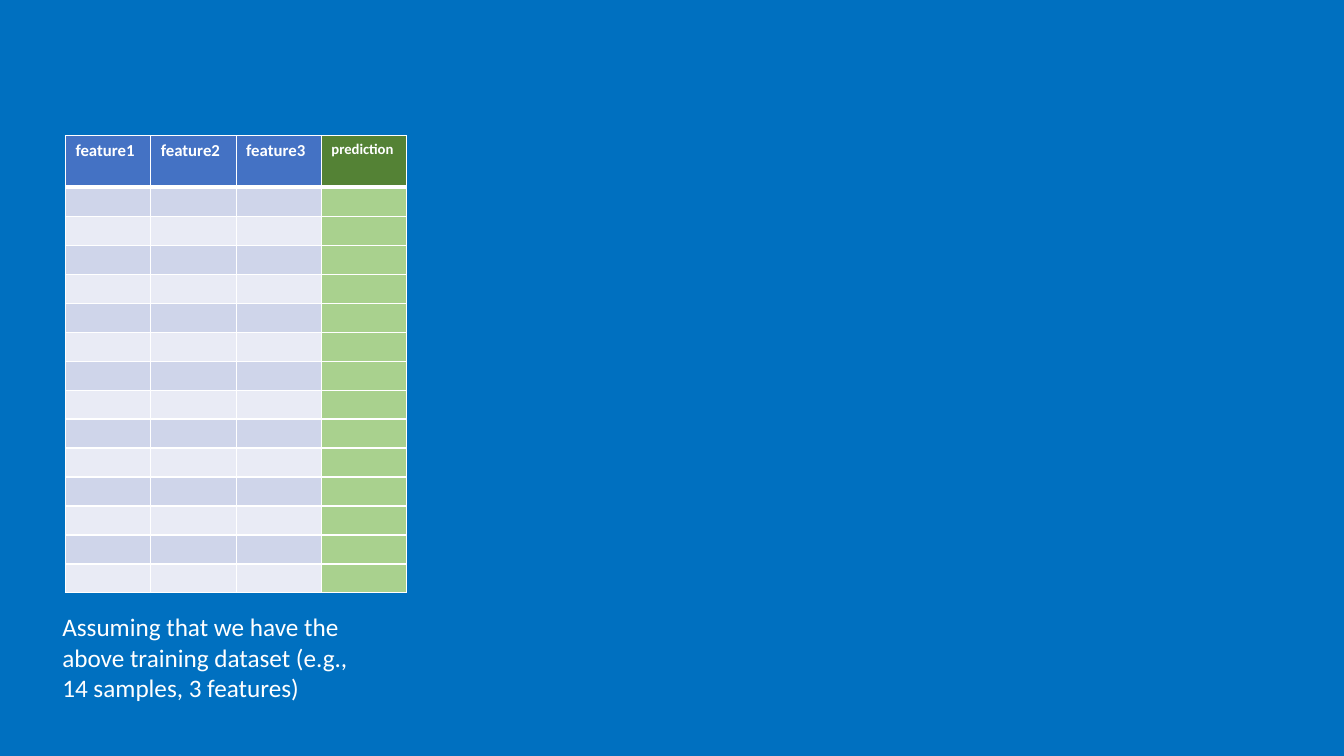
import pptx
import pptx.dml.color
import pptx.oxml.ns
import pptx.util
from lxml import etree

Cm, Pt = pptx.util.Cm, pptx.util.Pt
RGBColor = pptx.dml.color.RGBColor
qn = pptx.oxml.ns.qn

BACKGROUND = RGBColor(0x00, 0x70, 0xC0)
WHITE = RGBColor(0xFF, 0xFF, 0xFF)
FEATURE_HEADER = RGBColor(0x44, 0x72, 0xC4)
PREDICTION_HEADER = RGBColor(0x54, 0x82, 0x35)
PREDICTION = RGBColor(0xA9, 0xD1, 0x8E)
BANDS = [RGBColor(0xE9, 0xEB, 0xF5), RGBColor(0xCF, 0xD5, 0xEA)]

HEADERS = ["feature1", "feature2", "feature3", "prediction"]
SAMPLES = 14
COL_WIDTH, HEADER_HEIGHT, ROW_HEIGHT = Cm(2.15), Cm(1.3), Cm(0.73)


def write(tf, text, size=18, bold=False):
    """Put white Calibri text in the first paragraph of a text frame."""
    r = tf.paragraphs[0].add_run()
    r.text = text
    r.font.name = "Calibri"
    r.font.size = Pt(size)
    r.font.bold = bold
    r.font.color.rgb = WHITE


def set_borders(cell, top=1, bottom=1):
    """Draw white borders around a cell, with widths in points."""
    tcPr = cell._tc.get_or_add_tcPr()
    for side, width in (("L", 1), ("R", 1), ("T", top), ("B", bottom)):
        ln = etree.SubElement(tcPr, qn("a:ln" + side), w=str(Pt(width)))
        fill = etree.SubElement(ln, qn("a:solidFill"))
        etree.SubElement(fill, qn("a:srgbClr"), val=str(WHITE))


prs = pptx.Presentation()
prs.slide_width, prs.slide_height = Cm(33.87), Cm(19.05)
s = prs.slides.add_slide(prs.slide_layouts[6])
s.background.fill.solid()
s.background.fill.fore_color.rgb = BACKGROUND

# Training dataset
table = s.shapes.add_table(
    SAMPLES + 1, len(HEADERS), Cm(1.65), Cm(3.42),
    COL_WIDTH * len(HEADERS), HEADER_HEIGHT + ROW_HEIGHT * SAMPLES).table
for col in table.columns:
    col.width = COL_WIDTH
for i, row in enumerate(table.rows):
    row.height = ROW_HEIGHT if i else HEADER_HEIGHT
    for j, cell in enumerate(row.cells):
        is_prediction = j == len(HEADERS) - 1
        set_borders(cell, top=3 if i == 1 else 1, bottom=1 if i else 3)
        cell.fill.solid()
        if i == 0:
            color = PREDICTION_HEADER if is_prediction else FEATURE_HEADER
            write(cell.text_frame, HEADERS[j],
                  size=10.5 if is_prediction else 12, bold=True)
        else:
            color = PREDICTION if is_prediction else BANDS[i % 2]
            # A small end mark keeps the empty row at its height
            p = cell.text_frame.paragraphs[0]
            etree.SubElement(p._p, qn("a:endParaRPr"), sz="800")
        cell.fill.fore_color.rgb = color

# Caption
sp = s.shapes.add_textbox(Cm(1.32), Cm(15.29), Cm(8.46), Cm(2.57))
sp.text_frame.word_wrap = True
write(sp.text_frame, "Assuming that we have the above training dataset "
      "(e.g., 14 samples, 3 features)")

prs.save("out.pptx")
